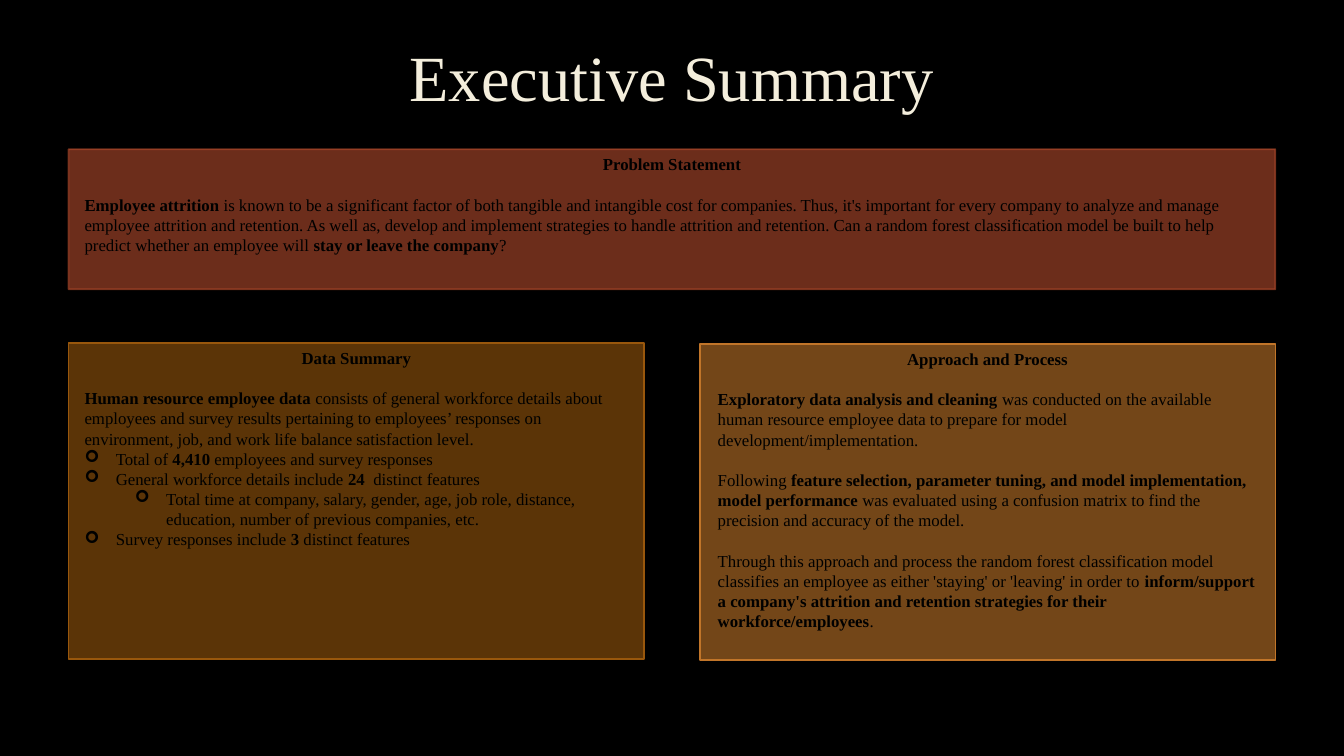
from lxml.etree import SubElement
from pptx import Presentation
from pptx.dml.color import RGBColor
from pptx.enum.shapes import MSO_SHAPE as Shape
from pptx.enum.text import MSO_ANCHOR as Anchor, MSO_AUTO_SIZE as Fit, PP_ALIGN as Align
from pptx.oxml.ns import qn
from pptx.util import Inches, Pt

BLACK = RGBColor(0x00, 0x00, 0x00)
CREAM = RGBColor(0xF4, 0xEE, 0xDC)
RUST = RGBColor(0xB5, 0x4C, 0x2D)
BROWN = RGBColor(0x99, 0x57, 0x0C)
OCHRE = RGBColor(0xC1, 0x75, 0x29)
FONT = "Times New Roman"
GAP = Pt(14.4)  # one line of 12 pt text
PLAIN, BLOCK, BULLET, SUB = range(4)

# Text between asterisks is bold.
PROBLEM = [
    (BLOCK, "*Employee attrition* is known to be a significant factor of both tangible and "
            "intangible cost for companies. Thus, it's important for every company to analyze "
            "and manage employee attrition and retention. As well as, develop and implement "
            "strategies to handle attrition and retention. Can a random forest classification "
            "model be built to help predict whether an employee will "
            "*stay or leave the company*?"),
]
DATA = [
    (BLOCK, "*Human resource employee data* consists of general workforce details about "
            "employees and survey results pertaining to employees’ responses on environment, "
            "job, and work life balance satisfaction level."),
    (BULLET, "Total of *4,410 *employees and survey responses"),
    (BULLET, "General workforce details include *24 * distinct features"),
    (SUB, "Total time at company, salary, gender, age, job role, distance, education, "
          "number of previous companies, etc."),
    (BULLET, "Survey responses include *3 *distinct features"),
]
PROCESS = [
    (BLOCK, "*Exploratory data analysis and cleaning *was conducted on the available human "
            "resource employee data to prepare for model development/implementation."),
    (BLOCK, "Following* feature selection, parameter tuning, and model implementation, model "
            "performance* was evaluated using a confusion matrix to find the precision and "
            "accuracy of the model."),
    (BLOCK, "Through this approach and process the random forest classification model "
            "classifies an employee as either 'staying' or 'leaving' in order to "
            "*inform/support a company's attrition and retention strategies for their "
            "workforce/employees*."),
]


def fade(fill, percent):
    """Set the opacity of a solid fill whose colour is already chosen."""
    color = fill._xPr.find(qn("a:solidFill"))[0]
    SubElement(color, qn("a:alpha"), val=str(percent * 1000))


def add_bullet(para, left):
    props = para._p.get_or_add_pPr()
    props.set("marL", str(Inches(left)))
    props.set("indent", str(Inches(-0.31)))
    SubElement(props, qn("a:buFont"), typeface="Wingdings")
    SubElement(props, qn("a:buChar"), char="➢")


def add_runs(para, text, size, color):
    for i, part in enumerate(text.split("*")):
        if part:
            run = para.add_run()
            run.text = part
            font = run.font
            font.name, font.size, font.bold = FONT, Pt(size), i % 2 == 1
            font.color.rgb = color


def add_title(slide, box, text):
    title = slide.shapes.title
    title.left, title.top, title.width, title.height = map(Inches, box)
    frame = title.text_frame
    frame.vertical_anchor = Anchor.MIDDLE
    para = frame.paragraphs[0]
    para.alignment, para.line_spacing = Align.CENTER, 0.9
    add_runs(para, text, 46, CREAM)


def add_body(slide, box, head, items):
    frame = slide.shapes.add_textbox(*map(Inches, box)).text_frame
    frame.word_wrap = True
    frame.auto_size = Fit.SHAPE_TO_FIT_TEXT
    para = frame.paragraphs[0]
    para.alignment = Align.CENTER
    add_runs(para, f"*{head}*", 12, BLACK)
    for kind, text in items:
        para = frame.add_paragraph()
        if kind == BLOCK:
            para.space_before = GAP
        elif kind in (BULLET, SUB):
            para.level = kind - BULLET
            add_bullet(para, 0.31 + 0.5 * para.level)
        add_runs(para, text, 12, BLACK)


def add_panel(slide, box, color, head, items, inset, height, opaque=True):
    """Draw a tinted box with its text inset at both sides."""
    left, top, width, _ = box
    rect = slide.shapes.add_shape(Shape.RECTANGLE, *map(Inches, box))
    rect.shadow.inherit = False
    rect.fill.solid()
    rect.fill.fore_color.rgb = color
    fade(rect.fill, 60)
    rect.line.width = Pt(1.25)
    rect.line.color.rgb = color
    if not opaque:
        fade(rect.line.fill, 60)
    add_body(slide, (left + inset, top, width - 2 * inset, height), head, items)


def main():
    deck = Presentation()
    deck.slide_width, deck.slide_height = Inches(13.33), Inches(7.5)
    slide = deck.slides.add_slide(deck.slide_layouts[5])
    slide.background.fill.solid()
    slide.background.fill.fore_color.rgb = BLACK

    add_title(slide, (1, 0.23, 11.32, 1.14), "Executive Summary")
    add_panel(slide, (0.68, 1.48, 11.97, 1.39), RUST, "Problem Statement", PROBLEM,
              0.06, 1.11, opaque=False)
    add_panel(slide, (6.94, 3.41, 5.71, 3.14), OCHRE, "Approach and Process", PROCESS,
              0.08, 2.93)
    add_panel(slide, (0.68, 3.4, 5.71, 3.14), BROWN, "Data Summary", DATA, 0.06, 2.12)
    deck.save("out.pptx")


if __name__ == "__main__":
    main()
